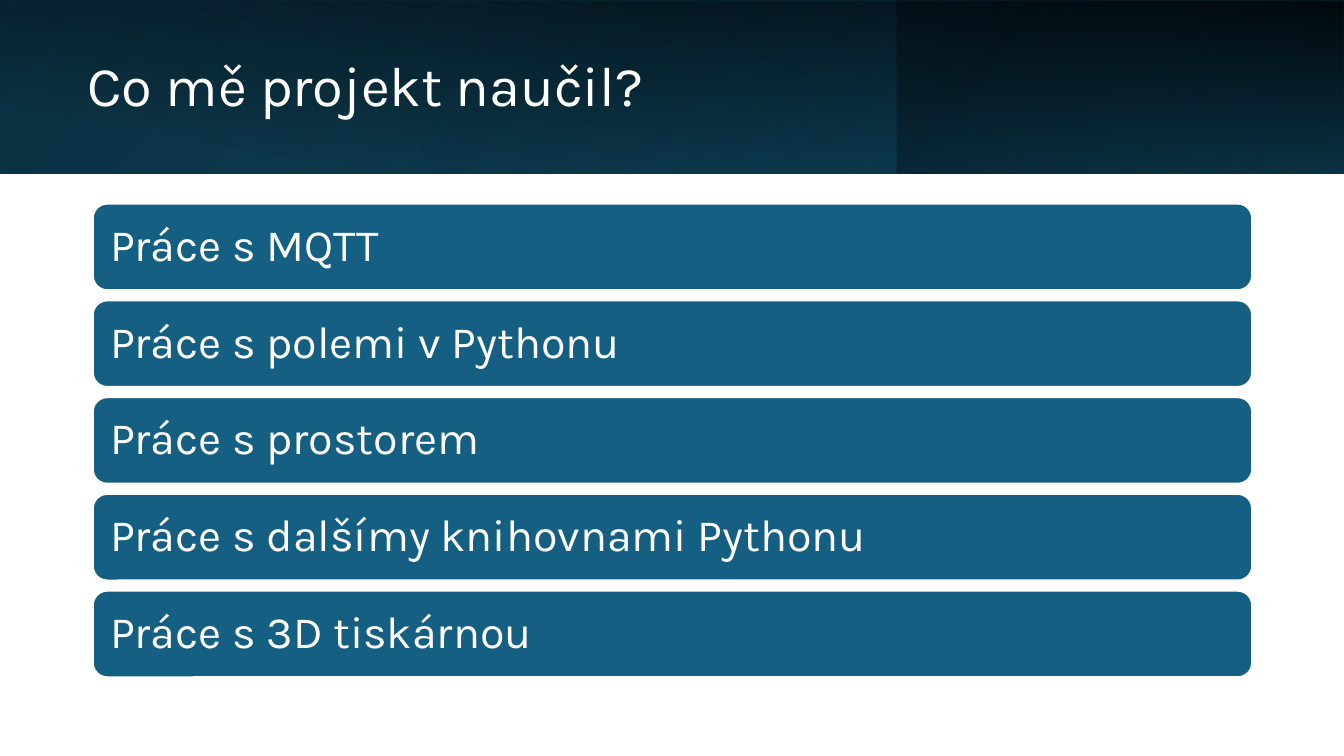
from pptx import Presentation
from pptx import util as u
from pptx.dml.color import RGBColor
from pptx.enum import shapes, text
from pptx.oxml.ns import qn
from lxml import etree

PX = 9144  # 100 px to the inch
THEME = {
    "font": "Karla", "title_size": 40, "bar_size": 32,
    "navy": "0B3041", "teal": "104862", "blue": "156082",
    "black": "000000", "white": "FFFFFF",
}


def write(shape, words, size, inset_x=10, inset_y=5, color=THEME["white"]):
    frame = shape.text_frame
    frame.word_wrap = True
    frame.vertical_anchor = text.MSO_ANCHOR.MIDDLE
    frame.margin_left = frame.margin_right = inset_x * PX
    frame.margin_top = frame.margin_bottom = inset_y * PX
    para = frame.paragraphs[0]
    para.alignment = text.PP_ALIGN.LEFT
    para.line_spacing = 0.9
    span = para.add_run()
    span.text = words
    span.font.name = THEME["font"]
    span.font.size = u.Pt(size)
    span.font.color.rgb = RGBColor.from_string(color)


def add_block(page, kind, left, top, width, height):
    shape = page.shapes.add_shape(kind, left * PX, top * PX, width * PX, height * PX)
    shape.shadow.inherit = False
    return shape


deck = Presentation()
deck.slide_width, deck.slide_height = 1333 * PX, 750 * PX
page = deck.slides.add_slide(deck.slide_layouts[6])

# Header band: layered gradients, each stop as (position, colour, opacity) in percent
BAND = 172
layers = [
    # left, top, width, height, rotation, flipped, clockwise angle, stops
    (0, 0, 1333, BAND, 0, True, 140, [(0, "navy", 100), (100, "teal", 100)]),
    (889, 0, 444, BAND, 180, True, 320, [(19, "navy", 68), (100, "blue", 79)]),
    (580, -580, BAND, 1333, 90, False, 190, [(16, "black", 0), (99, "black", 87)]),
    (418, 0, 471, BAND, 0, False, 240, [(0, "blue", 17), (74, "navy", 0)]),
]
for left, top, width, height, rotation, flipped, angle, stops in layers:
    layer = add_block(page, shapes.MSO_SHAPE.RECTANGLE, left, top, width, height)
    layer.rotation = rotation
    if flipped:
        layer._element.spPr.find(qn("a:xfrm")).set("flipH", "1")
    layer.line.fill.background()
    layer.fill.gradient()
    layer.fill.gradient_angle = 360 - angle
    for stop, (position, color, _) in zip(layer.fill.gradient_stops, stops):
        stop.position = position / 100
        stop.color.rgb = RGBColor.from_string(THEME[color])
    tints = list(layer._element.spPr.iter(qn("a:srgbClr")))
    for tint, (_, _, opacity) in zip(tints, stops):
        etree.SubElement(tint, qn("a:alpha")).set("val", str(opacity * 1000))

# Title
title = page.shapes.add_textbox(77 * PX, 39 * PX, 776 * PX, 98 * PX)
write(title, "Co mě projekt naučil?", THEME["title_size"])

# Lessons: one bar each, evenly stacked
lessons = [
    "Práce s MQTT",
    "Práce s polemi v Pythonu",
    "Práce s prostorem",
    "Práce s dalšímy knihovnami Pythonu",
    "Práce s 3D tiskárnou",
]
FIRST_TOP, PITCH = 202, 96
for row, lesson in enumerate(lessons):
    bar = add_block(page, shapes.MSO_SHAPE.ROUNDED_RECTANGLE,
                    92, FIRST_TOP + row * PITCH, 1150, 86)
    bar.fill.solid()
    bar.fill.fore_color.rgb = RGBColor.from_string(THEME["blue"])
    bar.line.color.rgb = RGBColor.from_string(THEME["white"])
    bar.line.width = u.Pt(1.5)
    write(bar, lesson, THEME["bar_size"], inset_x=13, inset_y=13)

deck.save("out.pptx")
